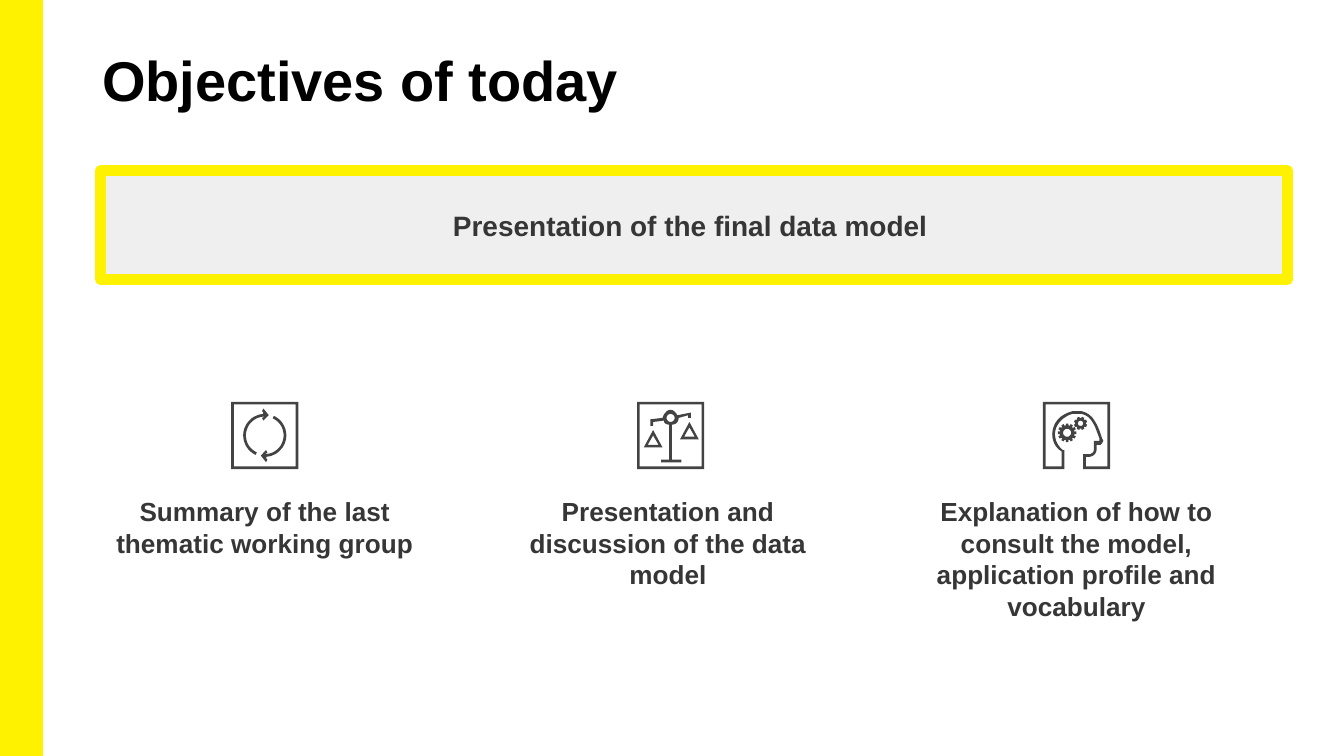
from math import cos, radians, sin

from pptx import Presentation
from pptx.dml.color import RGBColor
from pptx.enum.shapes import MSO_SHAPE
from pptx.enum.text import MSO_ANCHOR, PP_ALIGN
from pptx.util import Inches, Pt

WIDTH = 10
HEIGHT = WIDTH * 9 / 16
COLORS = {"yellow": "FFF200", "panel": "EFEFEF", "text": "373636",
          "title": "000000", "icon": "434343"}
FONT = "Arial"

ICON_LEFT, ICON_TOP, ICON_SIZE, COLUMN_STEP = 1.72, 2.99, 0.5, 3.02
CENTER = ICON_SIZE / 2
LABEL_TOP, LABEL_HEIGHT = 3.64, 1.28
LABELS = [  # left, width, text
    (0.61, 2.72, "Summary of the last thematic working group"),
    (3.57, 2.8, "Presentation and discussion of the data model"),
    (6.61, 2.8, "Explanation of how to consult the model, application profile and vocabulary"),
]

# Outline steps in inches from the icon's corner: points, or cubic curves of six numbers.
HEAD_OUTSIDE = [
    (0, 0), (0, 0.5), (0.16, 0.5), (0.16, 0.36), (0.15, 0.36),
    (0.11, 0.33, 0.09, 0.28, 0.09, 0.24), (0.09, 0.17, 0.15, 0.11, 0.22, 0.09),
    (0.25, 0.09), (0.29, 0.09), (0.37, 0.11, 0.39, 0.19, 0.42, 0.27), (0.42, 0.29),
    (0.38, 0.29), (0.38, 0.35), (0.38, 0.38, 0.36, 0.39, 0.34, 0.39),
    (0.3, 0.39), (0.3, 0.5), (0.5, 0.5), (0.5, 0),
]
HEAD_INSIDE = [
    (0.48, 0.48), (0.32, 0.48), (0.32, 0.41), (0.34, 0.41),
    (0.37, 0.41, 0.4, 0.39, 0.4, 0.35), (0.4, 0.32), (0.43, 0.32), (0.44, 0.31),
    (0.45, 0.29), (0.44, 0.27), (0.41, 0.18, 0.38, 0.09, 0.29, 0.07), (0.22, 0.07),
    (0.13, 0.09, 0.07, 0.16, 0.07, 0.24), (0.07, 0.29, 0.09, 0.34, 0.14, 0.37),
    (0.14, 0.48), (0.02, 0.48), (0.02, 0.02), (0.48, 0.02),
]
SCALE_STAND = [
    (0.12, 0.15), (0.2, 0.14), (0.2, 0.16, 0.22, 0.17, 0.24, 0.17), (0.24, 0.43),
    (0.18, 0.43), (0.18, 0.45), (0.33, 0.45), (0.33, 0.43), (0.26, 0.43), (0.26, 0.17),
    (0.29, 0.17, 0.31, 0.15, 0.31, 0.12), (0.38, 0.1), (0.38, 0.12), (0.4, 0.12),
    (0.4, 0.08), (0.3, 0.1), (0.29, 0.08, 0.27, 0.06, 0.25, 0.06),
    (0.22, 0.06, 0.2, 0.09, 0.19, 0.12), (0.1, 0.13), (0.1, 0.18), (0.12, 0.18),
]


def arc(x, y, radius, start, end, steps=24):
    """Points on a circle, with angles in degrees clockwise from the right."""
    angles = [radians(start + (end - start) * i / steps) for i in range(steps + 1)]
    return [(x + radius * cos(a), y + radius * sin(a)) for a in angles]


def outline(steps, samples=8):
    """Turn points and cubic curves into a plain list of points."""
    points = []
    for step in steps:
        if len(step) == 2:
            points.append(step)
            continue
        controls = [points[-1], step[:2], step[2:4], step[4:]]
        for i in range(1, samples + 1):
            t = i / samples
            weights = ((1 - t) ** 3, 3 * t * (1 - t) ** 2, 3 * t * t * (1 - t), t ** 3)
            points.append(tuple(sum(w * p[axis] for w, p in zip(weights, controls))
                                for axis in (0, 1)))
    return points


def square(inset):
    far = ICON_SIZE - inset
    return [(inset, inset), (inset, far), (far, far), (far, inset)]


def frame():
    return [square(0), square(0.02)]


def gear(x, y, radius, hole, teeth, turn=0):
    pitch = 360 / teeth
    rim = []
    for tooth in range(teeth):
        for offset, share in ((-0.32, 0.8), (-0.26, 1), (0.26, 1), (0.32, 0.8)):
            rim += arc(x, y, radius * share, turn + (tooth + offset) * pitch, 0, 1)[:1]
    return [rim, arc(x, y, hole, 0, 360)]


def pan(x, top):
    return [[(x, top), (x - 0.07, top + 0.13), (x + 0.07, top + 0.13)],
            [(x, top + 0.04), (x - 0.04, top + 0.11), (x + 0.04, top + 0.11)]]


def cycle_icon():
    arrowhead = [(0.24, 0.08), (0.23, 0.07), (0.24, 0.05), (0.28, 0.1),
                 (0.24, 0.14), (0.23, 0.12)]
    left = (arc(CENTER, CENTER, 0.16, 115, 265) + arrowhead
            + arc(CENTER, CENTER, 0.14, 270, 115))
    right = [(ICON_SIZE - x, ICON_SIZE - y) for x, y in left]
    return [frame(), [left], [right]]


def scale_icon():
    ring = arc(CENTER, 0.12, 0.03, 0, 360)
    return [frame() + pan(0.12, 0.21) + pan(0.39, 0.15) + [outline(SCALE_STAND), ring]]


def head_icon():
    return [[outline(HEAD_OUTSIDE), outline(HEAD_INSIDE)],
            gear(0.18, 0.23, 0.07, 0.03, 12),
            gear(0.28, 0.16, 0.05, 0.02, 8, 22.5)]


def paint(shape, fill, line=None, line_width=1):
    shape.shadow.inherit = False
    shape.fill.solid()
    shape.fill.fore_color.rgb = RGBColor.from_string(COLORS[fill])
    if line:
        shape.line.color.rgb = RGBColor.from_string(COLORS[line])
        shape.line.width = Pt(line_width)
    else:
        shape.line.fill.background()


def add_icon(slide, parts, left, top):
    """Draw each part as one freeform; contours inside a part cut holes."""
    shapes = slide.shapes.add_group_shape().shapes if len(parts) > 1 else slide.shapes
    for contours in parts:
        builder = None
        for contour in contours:
            points = [(1000 * (left + x), 1000 * (top + y)) for x, y in contour]
            if builder is None:
                builder = shapes.build_freeform(*points[0], scale=Inches(1) / 1000)
            else:
                builder.move_to(*points[0])
            builder.add_line_segments(points[1:], close=True)
        paint(builder.convert_to_shape(), "icon")


def write(shape, text, size, color="text", align=PP_ALIGN.CENTER):
    shape.text_frame.word_wrap = True
    paragraph = shape.text_frame.paragraphs[0]
    paragraph.text = text
    paragraph.alignment = align
    font = paragraph.font
    font.name, font.size, font.bold = FONT, Pt(size), True
    font.color.rgb = RGBColor.from_string(COLORS[color])


def add_text(slide, box, text, size, **style):
    shape = slide.shapes.add_textbox(*map(Inches, box))
    write(shape, text, size, **style)
    return shape


def add_rectangle(slide, box, fill, line_width):
    shape = slide.shapes.add_shape(MSO_SHAPE.RECTANGLE, *map(Inches, box))
    paint(shape, fill, "yellow", line_width)
    return shape


def main():
    presentation = Presentation()
    presentation.slide_width, presentation.slide_height = Inches(WIDTH), Inches(HEIGHT)
    slide = presentation.slides.add_slide(presentation.slide_layouts[6])

    add_rectangle(slide, (0, 0, 0.31, HEIGHT), "yellow", 1)
    title = add_text(slide, (0.69, 0.3, 8.62, 0.81), "Objectives of today", 30,
                     color="title", align=PP_ALIGN.LEFT).text_frame
    title.margin_left = title.margin_right = Inches(0.07)
    title.margin_top = title.margin_bottom = Inches(0.04)

    banner = add_rectangle(slide, (0.75, 1.27, 8.83, 0.81), "panel", 6)
    banner.text_frame.vertical_anchor = MSO_ANCHOR.MIDDLE
    write(banner, "Presentation of the final data model ", 15)

    icons = (cycle_icon(), scale_icon(), head_icon())
    for column, (icon, (left, width, text)) in enumerate(zip(icons, LABELS)):
        add_icon(slide, icon, ICON_LEFT + column * COLUMN_STEP, ICON_TOP)
        add_text(slide, (left, LABEL_TOP, width, LABEL_HEIGHT), text, 14)

    presentation.save("out.pptx")


if __name__ == "__main__":
    main()
